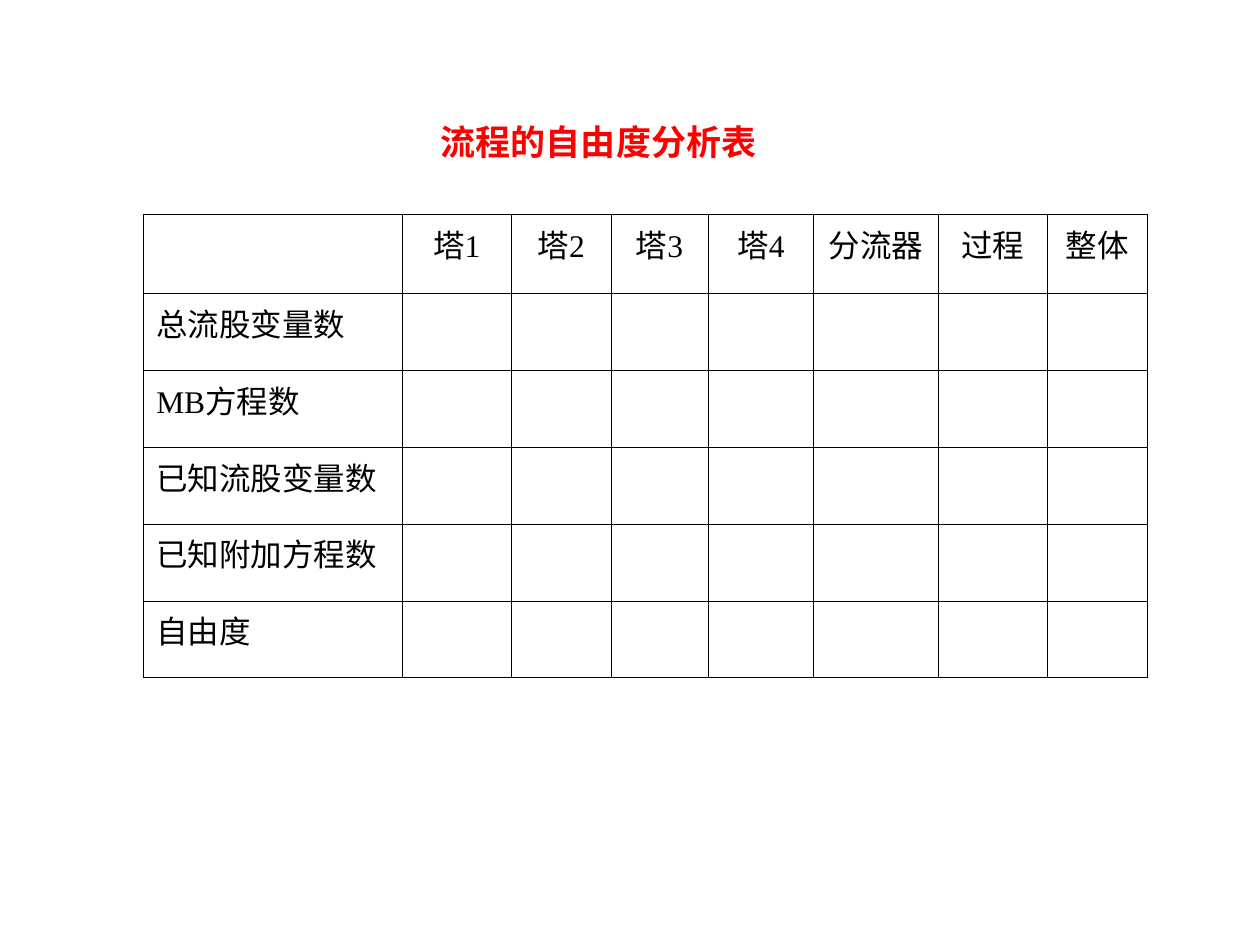
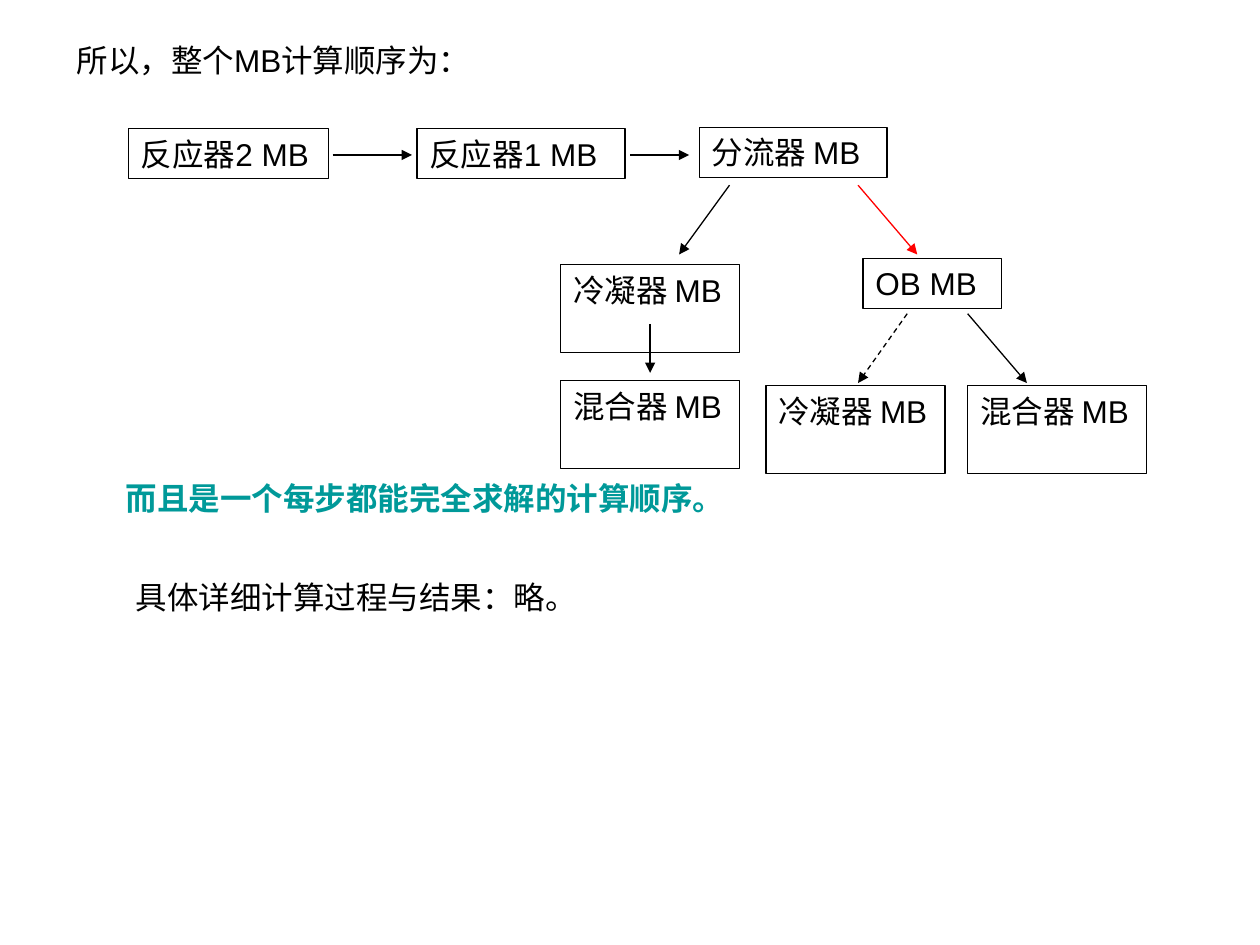
from lxml.etree import SubElement
from pptx import Presentation
from pptx.dml.color import RGBColor
from pptx.enum.dml import MSO_LINE
from pptx.enum.shapes import MSO_CONNECTOR, MSO_SHAPE
from pptx.enum.text import MSO_ANCHOR, MSO_AUTO_SIZE, PP_ALIGN
from pptx.oxml.ns import qn
from pptx.util import Inches, Pt

BLACK = RGBColor(0x00, 0x00, 0x00)
RED = RGBColor(0xFF, 0x00, 0x00)
TEAL = RGBColor(0x00, 0x99, 0x99)

SANS = "Arial"
SERIF = "Times New Roman"
BODY_SIZE = 18
TITLE_SIZE = 20
LINE_WIDTH = Pt(0.75)
BORDER_WIDTH = Pt(0.45)

SLIDE_WIDTH, SLIDE_HEIGHT = Inches(10), Inches(7.5)
GRID_COLUMNS, GRID_ROWS = 100, 75

UNITS = ["塔1", "塔2", "塔3", "塔4", "分流器", "过程", "整体"]
QUANTITIES = ["总流股变量数", "MB方程数", "已知流股变量数", "已知附加方程数", "自由度"]
TABLE_COLUMNS = [20.5, 8.7, 7.9, 7.7, 8.4, 9.9, 8.6, 8]
TABLE_ROWS = [6.3] + [6.1] * len(QUANTITIES)

STEP_HEIGHT, TALL_STEP_HEIGHT = 4, 7
BRANCH_WIDTH = 14.2
STEPS = [
    ("反应器2 MB", 10.2, 10.2, 15.9, STEP_HEIGHT),
    ("反应器1 MB", 33.1, 10.2, 16.5, STEP_HEIGHT),
    ("分流器 MB", 55.5, 10.1, 14.9, STEP_HEIGHT),
    ("冷凝器 MB", 44.5, 21, BRANCH_WIDTH, TALL_STEP_HEIGHT),
    ("混合器 MB", 44.5, 30.2, BRANCH_WIDTH, TALL_STEP_HEIGHT),
    ("OB MB", 68.5, 20.5, 11, STEP_HEIGHT),
    ("冷凝器 MB", 60.8, 30.6, BRANCH_WIDTH, TALL_STEP_HEIGHT),
    ("混合器 MB", 76.8, 30.6, BRANCH_WIDTH, TALL_STEP_HEIGHT),
]
FLOWS = [
    ((26.4, 12.3), (32.7, 12.3), BLACK, False),
    ((50, 12.3), (54.7, 12.3), BLACK, False),
    ((57.9, 14.7), (53.9, 20.2), BLACK, False),
    ((51.6, 25.7), (51.6, 29.6), BLACK, False),
    ((68.1, 14.7), (72.8, 20.2), RED, False),
    ((72, 24.9), (68.1, 30.4), BLACK, True),
    ((76.8, 24.9), (81.5, 30.4), BLACK, False),
]


def across(columns):
    return round(SLIDE_WIDTH * columns / GRID_COLUMNS)


def down(rows):
    return round(SLIDE_HEIGHT * rows / GRID_ROWS)


def area(column, row, width, height):
    return across(column), down(row), across(width), down(height)


def write(frame, text, font_name=SANS, size=BODY_SIZE, color=BLACK, bold=False,
          align=PP_ALIGN.LEFT):
    frame.text = text
    paragraph = frame.paragraphs[0]
    paragraph.alignment = align
    font = paragraph.font
    font.name, font.size, font.bold = font_name, Pt(size), bold
    font.color.rgb = color


def add_statement(slide, text, place, **style):
    frame = slide.shapes.add_textbox(*area(*place)).text_frame
    frame.word_wrap = True
    frame.auto_size = MSO_AUTO_SIZE.SHAPE_TO_FIT_TEXT
    write(frame, text, **style)


def add_step(slide, text, place, wraps):
    step = slide.shapes.add_shape(MSO_SHAPE.RECTANGLE, *area(*place))
    step.shadow.inherit = False
    step.fill.background()
    step.line.color.rgb = BLACK
    step.line.width = LINE_WIDTH
    frame = step.text_frame
    frame.word_wrap = wraps
    frame.auto_size = MSO_AUTO_SIZE.SHAPE_TO_FIT_TEXT
    frame.vertical_anchor = MSO_ANCHOR.TOP
    write(frame, text)


def add_flow(slide, start, end, color, dashed):
    flow = slide.shapes.add_connector(
        MSO_CONNECTOR.STRAIGHT, across(start[0]), down(start[1]),
        across(end[0]), down(end[1]))
    flow.line.color.rgb = color
    flow.line.width = LINE_WIDTH
    if dashed:
        flow.line.dash_style = MSO_LINE.DASH
    properties = flow._element.spPr
    SubElement(properties.find(qn("a:ln")), qn("a:tailEnd"), type="triangle")
    SubElement(properties, qn("a:effectLst"))


def add_borders(cell):
    properties = cell._tc.get_or_add_tcPr()
    for side in ("lnL", "lnR", "lnT", "lnB"):
        border = SubElement(properties, qn(f"a:{side}"), w=str(BORDER_WIDTH))
        fill = SubElement(border, qn("a:solidFill"))
        SubElement(fill, qn("a:srgbClr"), val=str(BLACK))


def add_analysis_table(slide, column, row):
    table = slide.shapes.add_table(
        len(TABLE_ROWS), len(TABLE_COLUMNS),
        *area(column, row, sum(TABLE_COLUMNS), sum(TABLE_ROWS))).table
    table.first_row = table.horz_banding = False
    for table_column, width in zip(table.columns, TABLE_COLUMNS):
        table_column.width = across(width)
    for table_row, height in zip(table.rows, TABLE_ROWS):
        table_row.height = down(height)
    for cell in table.iter_cells():
        add_borders(cell)
        cell.fill.background()
    for index, unit in enumerate(UNITS, 1):
        write(table.cell(0, index).text_frame, unit, SERIF, align=PP_ALIGN.CENTER)
    for index, quantity in enumerate(QUANTITIES, 1):
        write(table.cell(index, 0).text_frame, quantity, SERIF)


def build_analysis_slide(slide):
    add_analysis_table(slide, 11.4, 17)
    add_statement(slide, "流程的自由度分析表", (34, 9.1, 30.7, 4.4),
                  size=TITLE_SIZE, color=RED, bold=True)


def build_sequence_slide(slide):
    add_statement(slide, "所以，整个MB计算顺序为：", (5.1, 2.8, 77.2, 4))
    for index, (text, *place) in enumerate(STEPS):
        add_step(slide, text, place, wraps=index > 0)
    for flow in FLOWS:
        add_flow(slide, *flow)
    add_statement(slide, "而且是一个每步都能完全求解的计算顺序。", (9, 37.5, 55.1, 4),
                  color=TEAL, bold=True)
    add_statement(slide, "具体详细计算过程与结果：略。", (9.8, 45.4, 49.6, 4))


def main():
    deck = Presentation()
    deck.slide_width, deck.slide_height = SLIDE_WIDTH, SLIDE_HEIGHT
    blank = deck.slide_layouts[6]
    for build in (build_analysis_slide, build_sequence_slide):
        build(deck.slides.add_slide(blank))
    deck.save("out.pptx")


if __name__ == "__main__":
    main()
